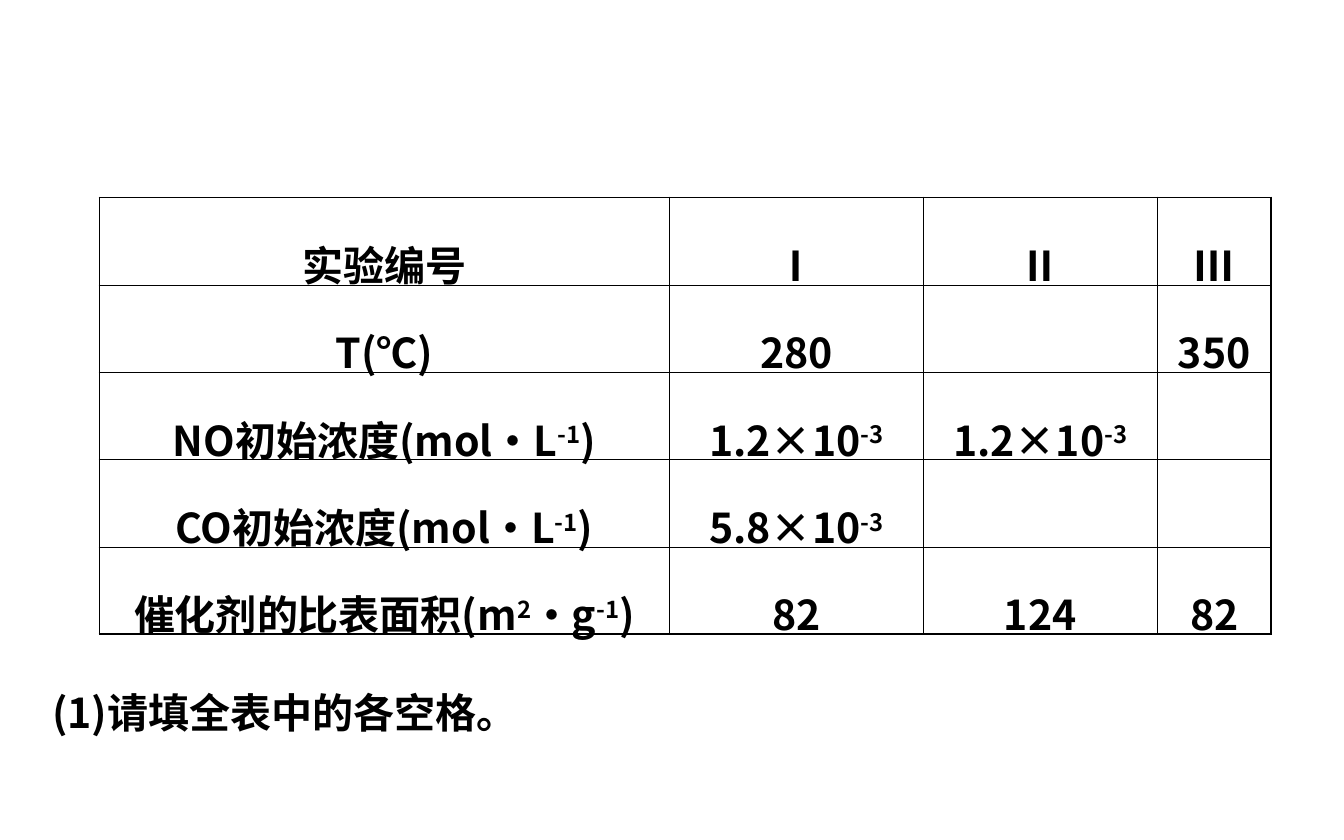
from lxml.etree import SubElement
from pptx import Presentation
from pptx.dml.color import RGBColor
from pptx.enum.text import MSO_ANCHOR, MSO_AUTO_SIZE, PP_ALIGN
from pptx.oxml.ns import qn
from pptx.util import Inches, Pt

FONT = "Noto Sans CJK SC"
BLACK = "000000"
THIN, THICK = 0.45, 1.08
COLUMN_WIDTHS = [4.24, 1.89, 1.74, 0.85]
ROW_HEIGHT = 0.65
# A pair of ^ marks encloses a superscript.
ROWS = [
    ["实验编号", "Ⅰ", "Ⅱ", "Ⅲ"],
    ["T(℃)", "280", "", "350"],
    ["NO初始浓度(mol·L^-1^)", "1.2×10^-3^", "1.2×10^-3^", ""],
    ["CO初始浓度(mol·L^-1^)", "5.8×10^-3^", "", ""],
    ["催化剂的比表面积(m^2^·g^-1^)", "82", "124", "82"],
]


def color(value):
    return RGBColor.from_string(value)


def write_text(para, text, size=22, bold=True, fill=BLACK, align=None, spacing=1.5):
    para.alignment = align
    para.line_spacing = spacing
    for index, part in enumerate(text.split("^")):
        if not part:
            continue
        span = para.add_run()
        span.text = part
        font = span.font
        font.size, font.bold, font.name = Pt(size), bold, FONT
        font.color.rgb = color(fill)
        properties = span._r.get_or_add_rPr()
        SubElement(properties, qn("a:ea"), typeface=FONT)
        if index % 2:
            properties.set("baseline", "30000")


def set_borders(cell, widths):
    """Draw the left, right, top and bottom borders, with widths in points."""
    properties = cell._tc.get_or_add_tcPr()
    for index, (side, width) in enumerate(zip("LRTB", widths)):
        line = SubElement(properties, qn(f"a:ln{side}"), w=str(Pt(width)))
        fill = SubElement(line, qn("a:solidFill"))
        SubElement(fill, qn("a:srgbClr"), val=BLACK)
        properties.insert(index, line)


def add_experiment_table(page, left, top):
    last_row, last_column = len(ROWS) - 1, len(COLUMN_WIDTHS) - 1
    table = page.shapes.add_table(
        len(ROWS), len(COLUMN_WIDTHS), Inches(left), Inches(top),
        Inches(sum(COLUMN_WIDTHS)), Inches(ROW_HEIGHT * len(ROWS))).table
    table.first_row = table.horz_banding = False
    for column, width in zip(table.columns, COLUMN_WIDTHS):
        column.width = Inches(width)
    for r, texts in enumerate(ROWS):
        table.rows[r].height = Inches(ROW_HEIGHT)
        for c, text in enumerate(texts):
            cell = table.cell(r, c)
            cell.vertical_anchor = MSO_ANCHOR.MIDDLE
            cell.fill.background()
            on_edge = [c == 0, c == last_column, r == 0, r == last_row]
            set_borders(cell, [THICK if edge else THIN for edge in on_edge])
            if text:
                write_text(cell.text_frame.paragraphs[0], text, align=PP_ALIGN.CENTER)


def add_question(page, text, left, top, width, height):
    box = page.shapes.add_textbox(Inches(left), Inches(top), Inches(width), Inches(height))
    frame = box.text_frame
    frame.word_wrap = True
    frame.auto_size = MSO_AUTO_SIZE.SHAPE_TO_FIT_TEXT
    write_text(frame.paragraphs[0], text, spacing=1.8)


def main():
    deck = Presentation()
    deck.slide_width, deck.slide_height = Inches(10), Inches(6.25)
    page = deck.slides.add_slide(deck.slide_layouts[6])
    add_question(page, "(1)请填全表中的各空格。", 0.29, 4.77, 9.43, 0.76)
    add_experiment_table(page, 0.74, 1.47)
    deck.save("out.pptx")


if __name__ == "__main__":
    main()
